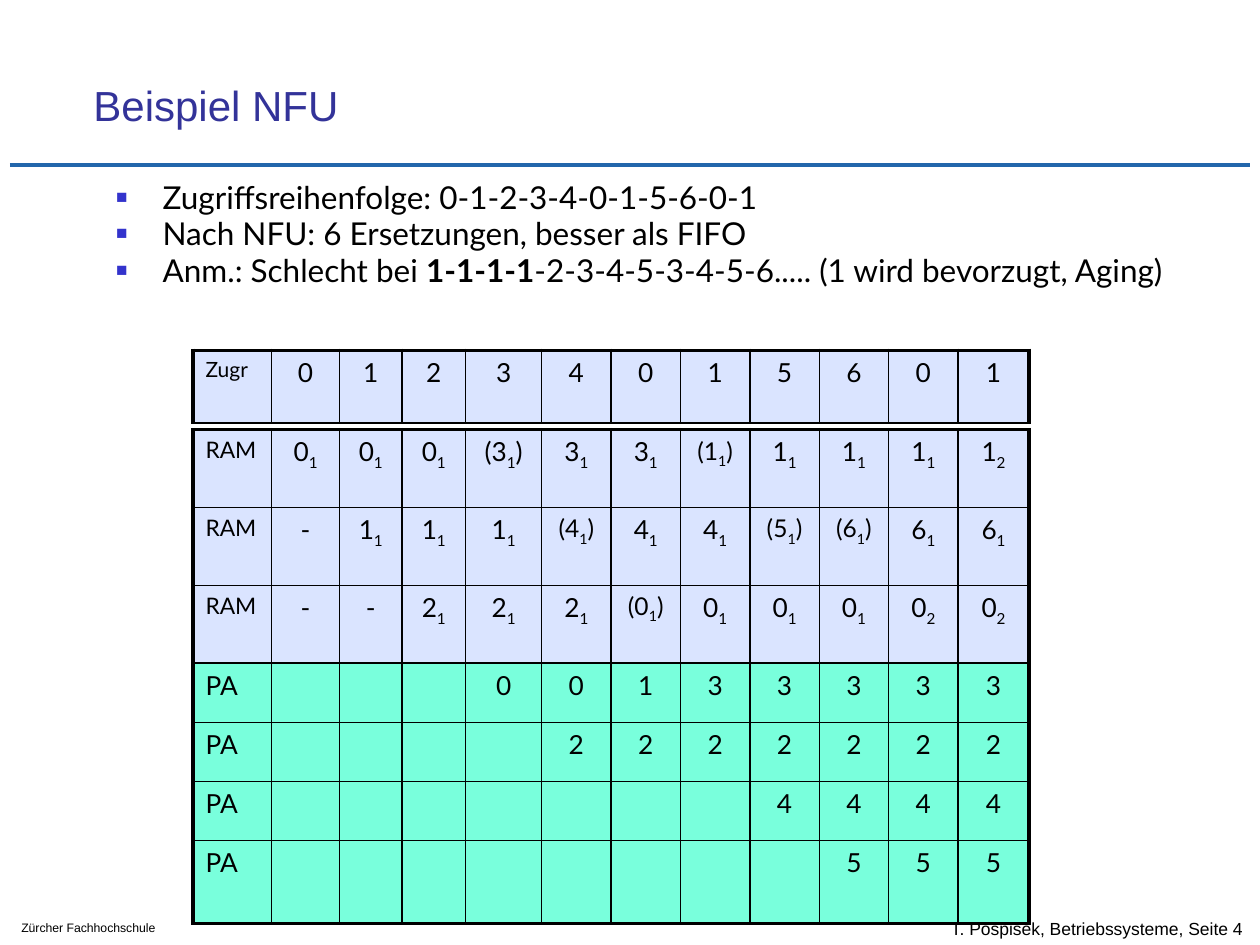
from lxml.etree import SubElement
from pptx import Presentation
from pptx.dml.color import RGBColor as RGB
from pptx.enum.shapes import MSO_CONNECTOR as Connector
from pptx.enum.text import MSO_ANCHOR as Anchor, PP_ALIGN as Align
from pptx.oxml.ns import qn
from pptx.util import Cm, Pt

COLORS = {"title": "333399", "text": "000000", "rule": "2266AB", "bullet": "3333CC",
          "ram": "DAE4FF", "archive": "79FFDC", "border": "000000"}
THICK, THIN = 2.21, 0.96

# Column 4 is wide enough for a bracketed entry in full size
WIDE_COLUMN = 4
COLUMNS = [1.58, 1.38, 1.25, 1.29, 1.53] + [1.4] * 6 + [1.43]
TABLE_LEFT = 3.89

BULLETS = [
    [("Zugriffsreihenfolge: 0-1-2-3-4-0-1-5-6-0-1", False)],
    [("Nach NFU: 6 Ersetzungen, besser als FIFO", False)],
    [("Anm.: Schlecht bei ", False), ("1-1-1-1", True),
     ("-2-3-4-5-3-4-5-6..... (1 wird bevorzugt, Aging)", False)],
]

# An underscore marks the following digit as a subscript
ACCESSES = "0 1 2 3 4 0 1 5 6 0 1"
RAM_ROWS = [
    "0_1 0_1 0_1 (3_1) 3_1 3_1 (1_1) 1_1 1_1 1_1 1_2",
    "- 1_1 1_1 1_1 (4_1) 4_1 4_1 (5_1) (6_1) 6_1 6_1",
    "- - 2_1 2_1 2_1 (0_1) 0_1 0_1 0_1 0_2 0_2",
]
ARCHIVE_ROWS = ["0 0 1 3 3 3 3 3", "2 2 2 2 2 2 2", "4 4 4 4", "5 5 5"]


def table_row(label, entries):
    """Label plus entries, flush with the last column."""
    values = entries.split()
    return [label] + [""] * (len(COLUMNS) - 1 - len(values)) + values


class SlideBuilder:
    label_sizes = {"Zugr": 12, "RAM": 13, "PA": 15}

    def __init__(self):
        self.deck = Presentation()
        self.deck.slide_width, self.deck.slide_height = Cm(25.4), Cm(19.05)
        self.slide = self.deck.slides.add_slide(self.deck.slide_layouts[5])

    def style(self, font, size, name="Lato", color="text", bold=False):
        font.name, font.size, font.bold = name, Pt(size), bold
        font.color.rgb = RGB.from_string(COLORS[color])

    def title(self, text, left, top, width, height):
        title = self.slide.shapes.title
        title.left, title.top, title.width, title.height = map(Cm, (left, top, width, height))
        frame = title.text_frame
        frame.text = text
        frame.vertical_anchor = Anchor.BOTTOM
        frame.paragraphs[0].alignment = Align.LEFT
        self.style(frame.paragraphs[0].runs[0].font, 24, "Arial", "title")

    def text_frame(self, left, top, width, height):
        frame = self.slide.shapes.add_textbox(*map(Cm, (left, top, width, height))).text_frame
        frame.word_wrap = True
        return frame

    def footer(self, text, size, anchor, *box):
        frame = self.text_frame(*box)
        frame.text = text
        frame.vertical_anchor = anchor
        self.style(frame.paragraphs[0].runs[0].font, size, "Arial")

    def bullets(self, items, *box):
        frame = self.text_frame(*box)
        for index, parts in enumerate(items):
            paragraph = frame.add_paragraph() if index else frame.paragraphs[0]
            self.add_bullet(paragraph)
            paragraph.line_spacing = 0.8
            if index:
                paragraph.space_before = Pt(3.6)
            for text, bold in parts:
                run = paragraph.add_run()
                run.text = text
                self.style(run.font, 18, bold=bold)

    def add_bullet(self, paragraph):
        props = paragraph._p.get_or_add_pPr()
        props.set("marL", str(Cm(0.97)))
        props.set("indent", str(Cm(-0.94)))
        SubElement(SubElement(props, qn("a:buClr")), qn("a:srgbClr"), val=COLORS["bullet"])
        SubElement(props, qn("a:buSzPct"), val="60000")
        SubElement(props, qn("a:buFont"), typeface="Arial")
        SubElement(props, qn("a:buChar"), char="■")

    def rule(self, left, right, y):
        line = self.slide.shapes.add_connector(
            Connector.STRAIGHT, Cm(left), Cm(y), Cm(right), Cm(y))
        line.line.color.rgb = RGB.from_string(COLORS["rule"])
        line.line.width = Pt(2.5)
        SubElement(line._element.spPr, qn("a:effectLst"))

    def table(self, rows, heights, top, thick_bottom):
        table = self.slide.shapes.add_table(
            len(rows), len(COLUMNS), Cm(TABLE_LEFT), Cm(top),
            Cm(sum(COLUMNS)), Cm(sum(heights))).table
        table.first_row = table.horz_banding = False
        for column, width in zip(table.columns, COLUMNS):
            column.width = Cm(width)
        last_row, last_col = len(rows) - 1, len(COLUMNS) - 1
        for r, (values, height) in enumerate(zip(rows, heights)):
            table.rows[r].height = Cm(height)
            fill = "archive" if values[0] == "PA" else "ram"
            for c, value in enumerate(values):
                cell = table.cell(r, c)
                self.borders(cell, L=c == 0, R=c == last_col, T=r == 0,
                             B=thick_bottom and r == last_row)
                cell.fill.solid()
                cell.fill.fore_color.rgb = RGB.from_string(COLORS[fill])
                self.entry(cell.text_frame.paragraphs[0], value, c)

    def borders(self, cell, **thick_sides):
        props = cell._tc.get_or_add_tcPr()
        for side, thick in thick_sides.items():
            width = Pt(THICK if thick else THIN)
            line = SubElement(props, qn(f"a:ln{side}"), w=str(width))
            SubElement(SubElement(line, qn("a:solidFill")), qn("a:srgbClr"),
                       val=COLORS["border"])

    def entry(self, paragraph, value, column):
        size = self.label_sizes.get(value, 15)
        if value.startswith("(") and column != WIDE_COLUMN:
            size = 14
        paragraph.alignment = Align.CENTER if column else Align.LEFT
        page, _, rest = value.partition("_")
        for text, subscript in ((page, False), (rest[:1], True), (rest[1:], False)):
            if text:
                run = paragraph.add_run()
                run.text = text
                self.style(run.font, size)
                if subscript:
                    run._r.get_or_add_rPr().set("baseline", "-25000")


def main():
    builder = SlideBuilder()

    # Frame of the slide
    builder.rule(0.2, 25.2, 3.33)
    builder.footer("T. Pospisek, Betriebssysteme, Seite 4", 10, Anchor.MIDDLE,
                   18.92, 18.29, 8.71, 0.84)
    builder.footer("Zürcher Fachhochschule", 7, Anchor.TOP, 0.18, 18.42, 4.37, 0.56)

    # Title and remarks
    builder.title("Beispiel NFU", 1.63, 0.84, 21.64, 1.9)
    builder.bullets(BULLETS, 2.06, 3.61, 21.67, 2.74)

    # Memory contents, then the access sequence above them
    memory = [table_row("RAM", row) for row in RAM_ROWS]
    memory += [table_row("PA", row) for row in ARCHIVE_ROWS]
    builder.table(memory, [1.57] * 3 + [1.19] * 3 + [1.68], 8.66, thick_bottom=True)
    builder.table([table_row("Zugr", ACCESSES)], [1.47], 7.06, thick_bottom=False)

    builder.deck.save("out.pptx")


if __name__ == "__main__":
    main()
